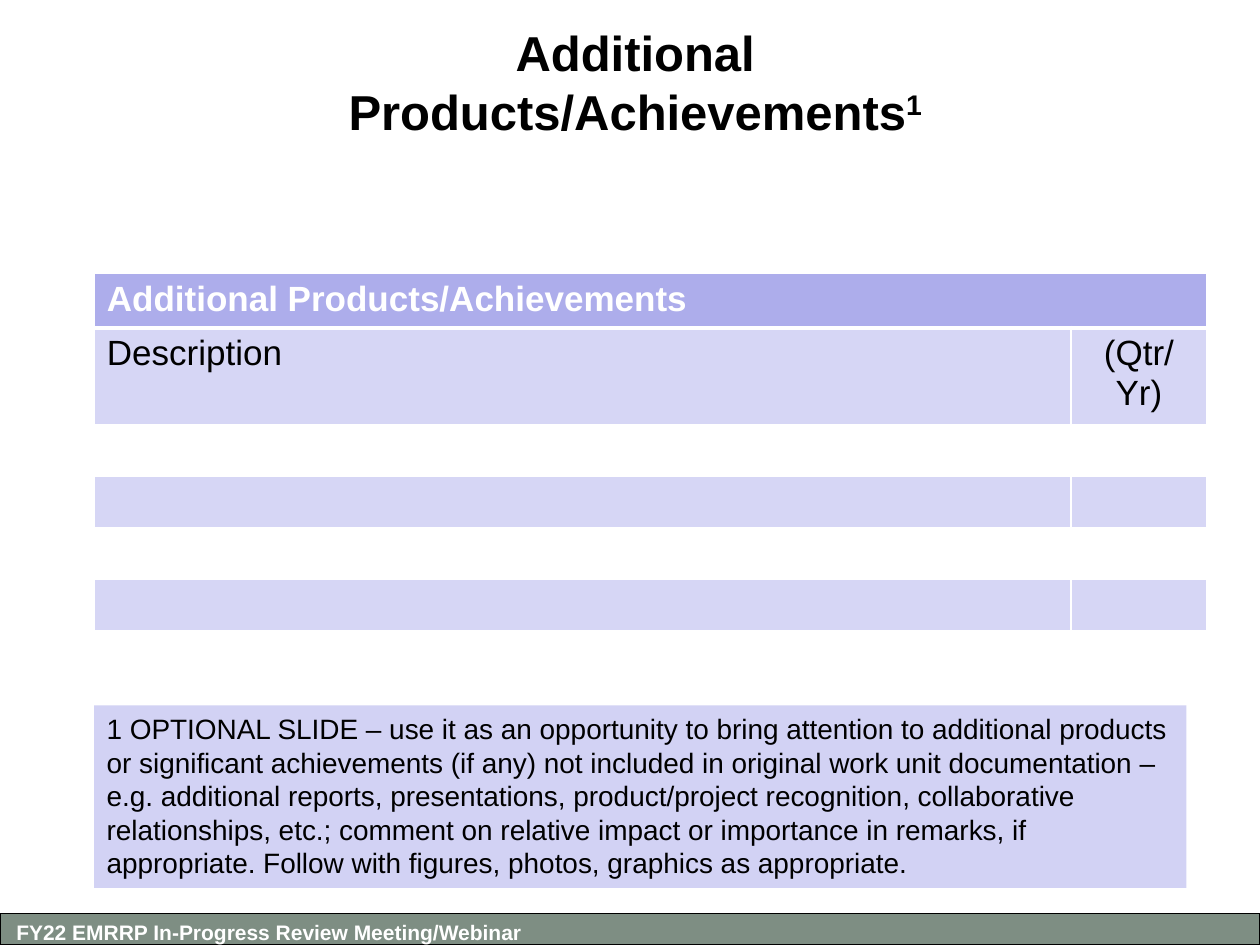
"""Build the additional products and achievements slide."""
from lxml import etree
from pptx import Presentation
from pptx import util as u
from pptx.dml.color import RGBColor
from pptx.enum import shapes, text
from pptx.oxml import ns

BLACK = RGBColor(0x00, 0x00, 0x00)
WHITE = RGBColor(0xFF, 0xFF, 0xFF)
FOOTER_GREEN = RGBColor(0x7E, 0x8E, 0x83)
HEADER_LILAC = RGBColor(0xAD, 0xAD, 0xEB)
BAND_LILAC = RGBColor(0xD6, 0xD6, 0xF5)
NOTE_LILAC = RGBColor(0xD2, 0xD2, 0xF4)

HEADING = "Additional Products/Achievements"
NOTE = (
    "1 OPTIONAL SLIDE – use it as an opportunity to bring attention to additional "
    "products or significant achievements (if any) not included in original work unit "
    "documentation – e.g. additional reports, presentations, product/project "
    "recognition, collaborative relationships, etc.; comment on relative impact or "
    "importance in remarks, if appropriate. Follow with figures, photos, graphics as "
    "appropriate."
)
ROWS = [[HEADING, ""], ["Description", "(Qtr/Yr)"]] + [["", ""]] * 4


def write(frame, words, size=20, color=BLACK, bold=False, align=text.PP_ALIGN.LEFT,
          raised=""):
    """Write one formatted paragraph with an optional superscript ending."""
    paragraph = frame.paragraphs[0]
    paragraph.alignment = align
    for part in filter(None, (words, raised)):
        run = paragraph.add_run()
        run.text = part
        run.font.name = "Arial"
        run.font.size = u.Pt(size)
        run.font.bold = bold
        run.font.color.rgb = color
    if raised:
        run.font._element.set("baseline", "30000")


def add_panel(slide, box, fill, outline=None):
    """Add a flat rectangle."""
    panel = slide.shapes.add_shape(shapes.MSO_SHAPE.RECTANGLE, *map(u.Cm, box))
    panel.shadow.inherit = False
    panel.fill.solid()
    panel.fill.fore_color.rgb = fill
    if outline is None:
        panel.line.fill.background()
    else:
        panel.line.color.rgb = outline
        panel.line.width = u.Pt(0.75)
    return panel


def add_label(slide, box, wrap=True):
    """Add a text box and return its frame."""
    frame = slide.shapes.add_textbox(*map(u.Cm, box)).text_frame
    frame.word_wrap = wrap
    return frame


def set_borders(cell, top, bottom):
    """Give a cell white borders, with widths in points."""
    properties = cell._tc.get_or_add_tcPr()
    widths = {"lnL": 1, "lnR": 1, "lnT": top, "lnB": bottom}
    for index, (side, width) in enumerate(widths.items()):
        border = etree.Element(ns.qn(f"a:{side}"), w=str(u.Pt(width)))
        fill = etree.SubElement(border, ns.qn("a:solidFill"))
        etree.SubElement(fill, ns.qn("a:srgbClr"), val=str(WHITE))
        properties.insert(index, border)


def add_products_table(slide):
    """Add the banded products table."""
    frame = slide.shapes.add_table(len(ROWS), 2, *map(u.Cm, (1.9, 5.51, 22.43, 6.24)))
    products = frame.table
    products.first_row = products.horz_banding = False
    for column, width in zip(products.columns, (19.69, 2.74)):
        column.width = u.Cm(width)
    for row in products.rows:
        row.height = u.Cm(1.04)
    products.cell(0, 0).merge(products.cell(0, 1))
    for r, entries in enumerate(ROWS):
        for c, entry in enumerate(entries):
            cell = products.cell(r, c)
            set_borders(cell, top=3 if r == 1 else 1, bottom=3 if r == 0 else 1)
            if r == 0 or r % 2:
                cell.fill.solid()
                cell.fill.fore_color.rgb = BAND_LILAC if r else HEADER_LILAC
            else:
                cell.fill.background()
            if entry:
                write(cell.text_frame, entry, color=BLACK if r else WHITE, bold=r == 0,
                      align=text.PP_ALIGN.CENTER if c else text.PP_ALIGN.LEFT)


def main():
    """Assemble and save the slide."""
    deck = Presentation()
    deck.slide_width, deck.slide_height = u.Cm(25.4), u.Cm(19.05)
    slide = deck.slides.add_slide(deck.slide_layouts[6])

    add_panel(slide, (0, 18.42, 25.4, 0.63), FOOTER_GREEN, BLACK)
    footer = add_label(slide, (0.08, 18.42, 10.92, 0.76), wrap=False)
    write(footer, "FY22 EMRRP In-Progress Review Meeting/Webinar", size=12,
          color=WHITE, bold=True)

    title = add_label(slide, (4.65, 0.84, 16.31, 2.16))
    title.vertical_anchor = text.MSO_ANCHOR.MIDDLE
    title.margin_bottom = u.Cm(0.69)
    write(title, HEADING, size=28, bold=True, align=text.PP_ALIGN.CENTER, raised="1")

    add_products_table(slide)

    note = add_panel(slide, (1.9, 14.22, 22.02, 3.68), NOTE_LILAC).text_frame
    note.word_wrap = True
    note.vertical_anchor = text.MSO_ANCHOR.TOP
    write(note, NOTE, size=16)

    deck.save("out.pptx")


main()
